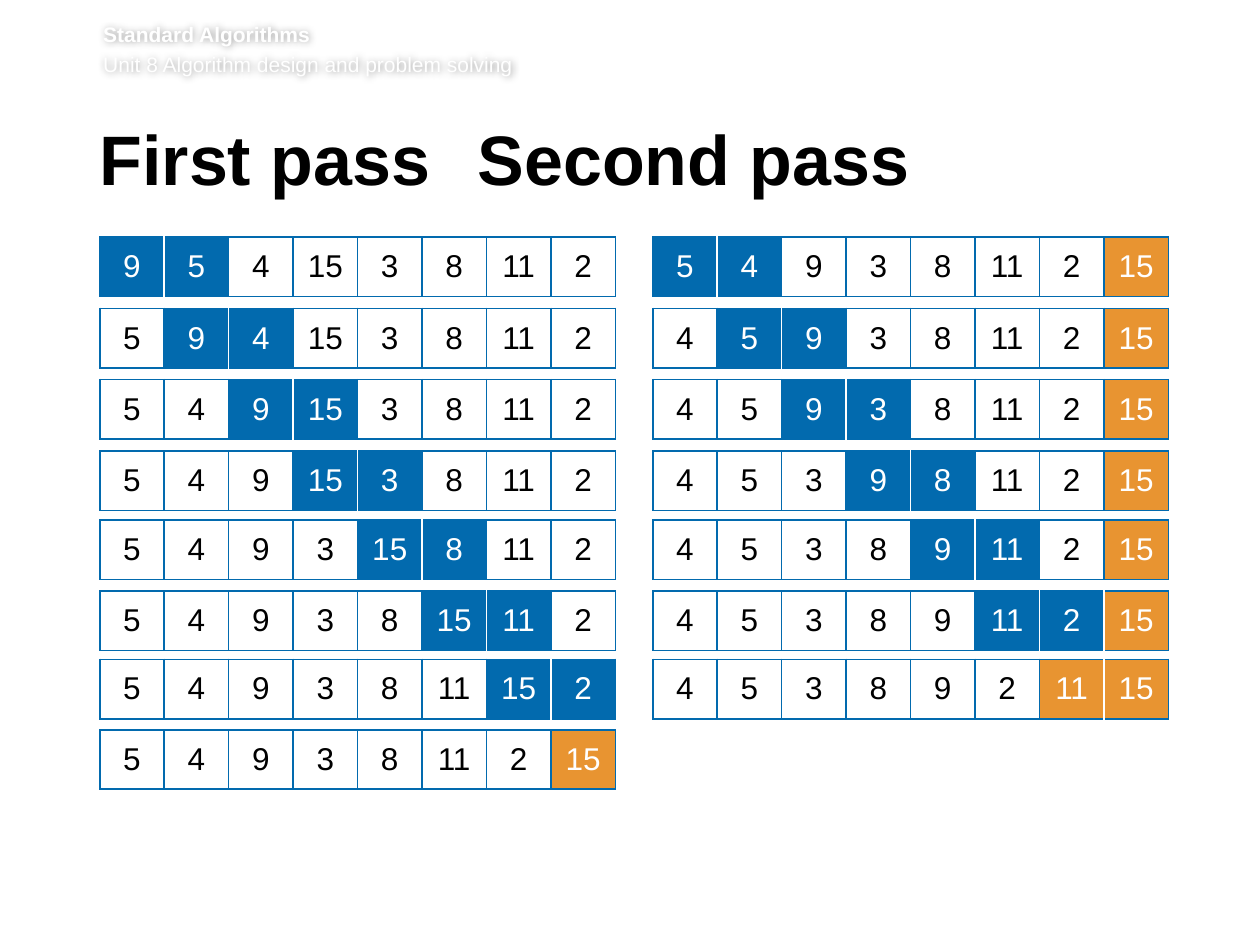
from lxml import etree
from pptx import Presentation
from pptx.dml.color import RGBColor
from pptx.enum.text import MSO_ANCHOR, PP_ALIGN
from pptx.oxml.ns import qn
from pptx.util import Pt

MIDDLE = MSO_ANCHOR.MIDDLE
TOP = MSO_ANCHOR.TOP
LEFT = PP_ALIGN.LEFT
CENTER = PP_ALIGN.CENTER

COLORS = {"blue": "026AAE", "orange": "E89431", "white": "FFFFFF", "black": "000000"}
FONT = "Arial"
NUMBERS = [9, 5, 4, 15, 3, 8, 11, 2]
ROW_TOPS = [135.5, 176.25, 217, 257.75, 297.25, 337.75, 376.75, 417]
PASS_LEFTS = [57, 373]
CELL_W, CELL_H = 36.83, 34


def add_text(p, text, size=18, color="black", bold=False, align=LEFT,
             before=None, after=None, line=None, tab=None):
    if tab:
        tabs = etree.SubElement(p._p.get_or_add_pPr(), qn("a:tabLst"))
        etree.SubElement(tabs, qn("a:tab"), pos=str(Pt(tab)), algn="l")
    p.alignment = align
    if before is not None:
        p.space_before = Pt(before)
    if after is not None:
        p.space_after = Pt(after)
    if line is not None:
        p.line_spacing = Pt(line)
    r = p.add_run()
    r.text = text
    r.font.name = FONT
    r.font.size = Pt(size)
    r.font.bold = bold
    r.font.color.rgb = RGBColor.from_string(COLORS[color])


class Deck:
    def __init__(self):
        self.prs = Presentation()
        self.prs.slide_width, self.prs.slide_height = Pt(720), Pt(540)
        self.s = self.prs.slides.add_slide(self.prs.slide_layouts[6])

    def text_box(self, x, y, w, h, insets, lines):
        sp = self.s.shapes.add_textbox(Pt(x), Pt(y), Pt(w), Pt(h))
        tf = sp.text_frame
        tf.word_wrap = True
        tf.vertical_anchor = TOP
        tf.margin_left, tf.margin_top, tf.margin_right, tf.margin_bottom = map(Pt, insets)
        for i, (text, fmt) in enumerate(lines):
            add_text(tf.paragraphs[0] if i == 0 else tf.add_paragraph(), text, **fmt)
        return sp

    def soft_shadow(self, sp, blur, opacity):
        effects = etree.SubElement(sp._element.spPr, qn("a:effectLst"))
        shadow = etree.SubElement(effects, qn("a:outerShdw"), blurRad=str(Pt(blur)),
                                  dist="0", dir="0", algn="ctr", rotWithShape="0")
        color = etree.SubElement(shadow, qn("a:srgbClr"), val=COLORS["black"])
        etree.SubElement(color, qn("a:alpha"), val=str(opacity * 1000))

    def borders(self, cell, left, right):
        tc_pr = cell._tc.get_or_add_tcPr()
        for side, color in zip("LRTB", (left, right, "blue", "blue")):
            ln = etree.SubElement(tc_pr, qn("a:ln" + side), w=str(Pt(1)))
            fill = etree.SubElement(ln, qn("a:solidFill"))
            etree.SubElement(fill, qn("a:srgbClr"), val=COLORS[color])

    def number_row(self, x, y, values, fills):
        n = len(values)
        table = self.s.shapes.add_table(1, n, Pt(x), Pt(y), Pt(CELL_W * n), Pt(CELL_H)).table
        table.first_row = table.horz_banding = False
        edges = ["white" if a and b else "blue"
                 for a, b in zip([None] + fills, fills + [None])]
        for i, (value, fill) in enumerate(zip(values, fills)):
            table.columns[i].width = Pt(CELL_W)
            cell = table.cell(0, i)
            cell.vertical_anchor = MIDDLE
            self.borders(cell, edges[i], edges[i + 1])
            if fill:
                cell.fill.solid()
                cell.fill.fore_color.rgb = RGBColor.from_string(COLORS[fill])
            else:
                cell.fill.background()
            add_text(cell.text_frame.paragraphs[0], str(value), align=CENTER,
                     color="white" if fill else "black")


def bubble_pass(values, done):
    last = len(values) - done - 1
    for i in range(last):
        fills = [None] * len(values)
        fills[i:i + 2] = ["blue"] * 2
        fills[last + 1:] = ["orange"] * done
        yield list(values), fills
        values[i:i + 2] = sorted(values[i:i + 2])
    yield list(values), [None] * last + ["orange"] * (done + 1)


def main():
    deck = Deck()
    header = deck.text_box(59, 12.25, 635, 35.25, (0, 0, 0, 3.6), [
        ("Standard Algorithms", dict(size=12, color="white", bold=True)),
        ("Unit 8 Algorithm design and problem solving",
         dict(size=12, color="white", before=2.9)),
    ])
    deck.soft_shadow(header, 4, 38)
    deck.text_box(57, 71.25, 615.5, 52.5, (0, 3.6, 7.2, 3.6), [
        ("First pass\tSecond pass", dict(size=40, bold=True, line=39, after=15, tab=216)),
    ])
    values = list(NUMBERS)
    for done, x in enumerate(PASS_LEFTS):
        for y, (row, fills) in zip(ROW_TOPS, bubble_pass(values, done)):
            deck.number_row(x, y, row, fills)
    deck.prs.save("out.pptx")


if __name__ == "__main__":
    main()
